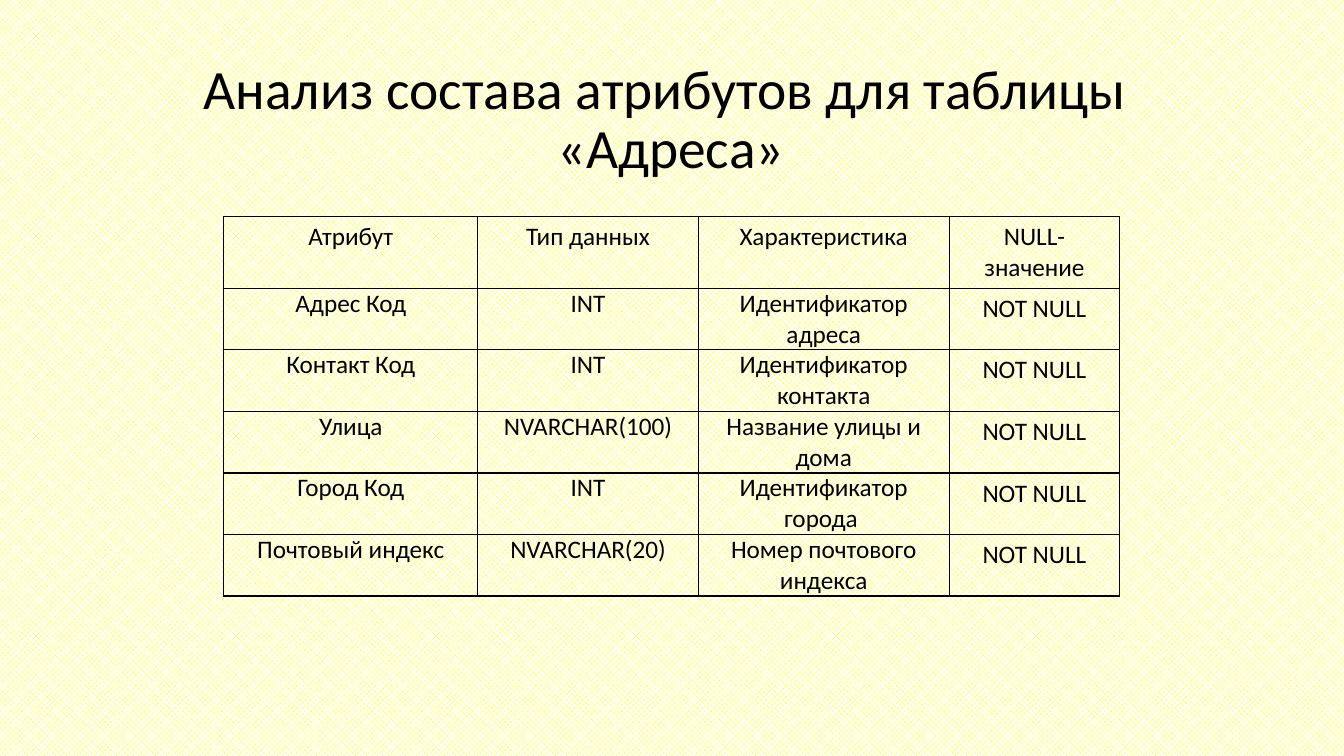
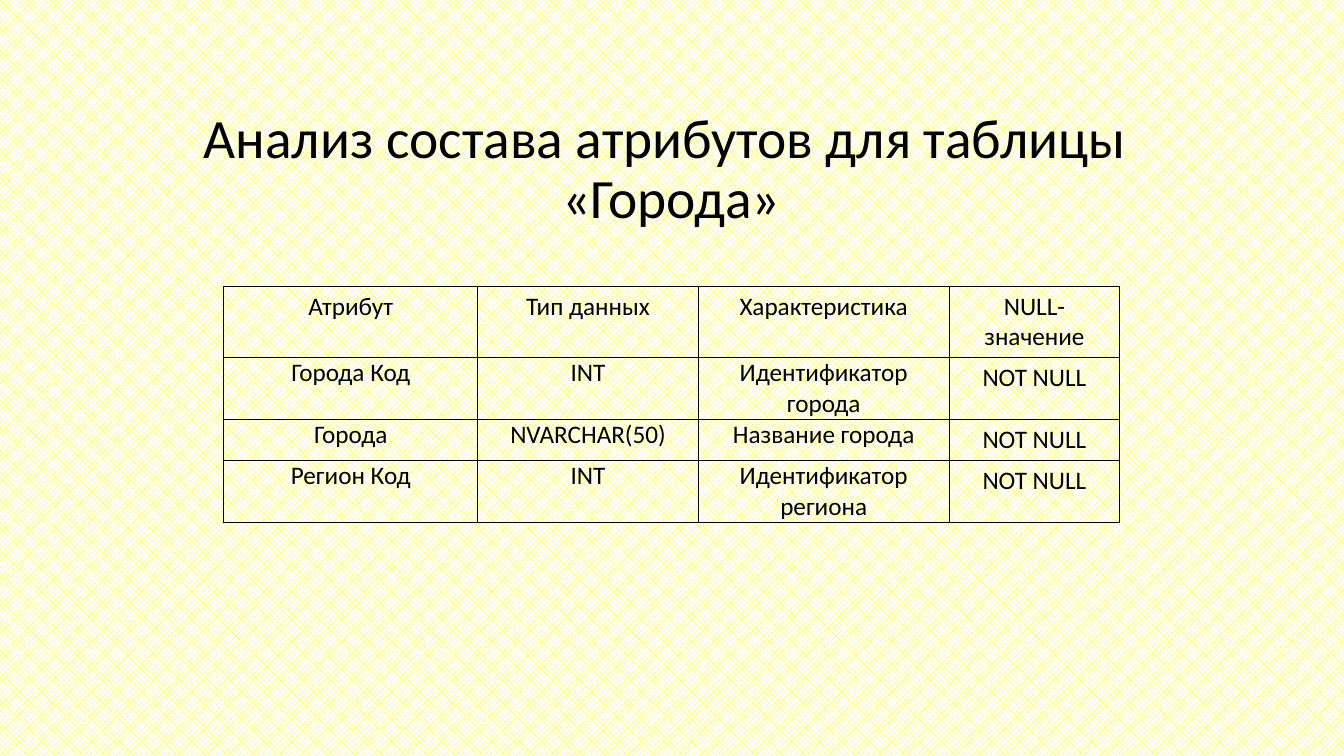
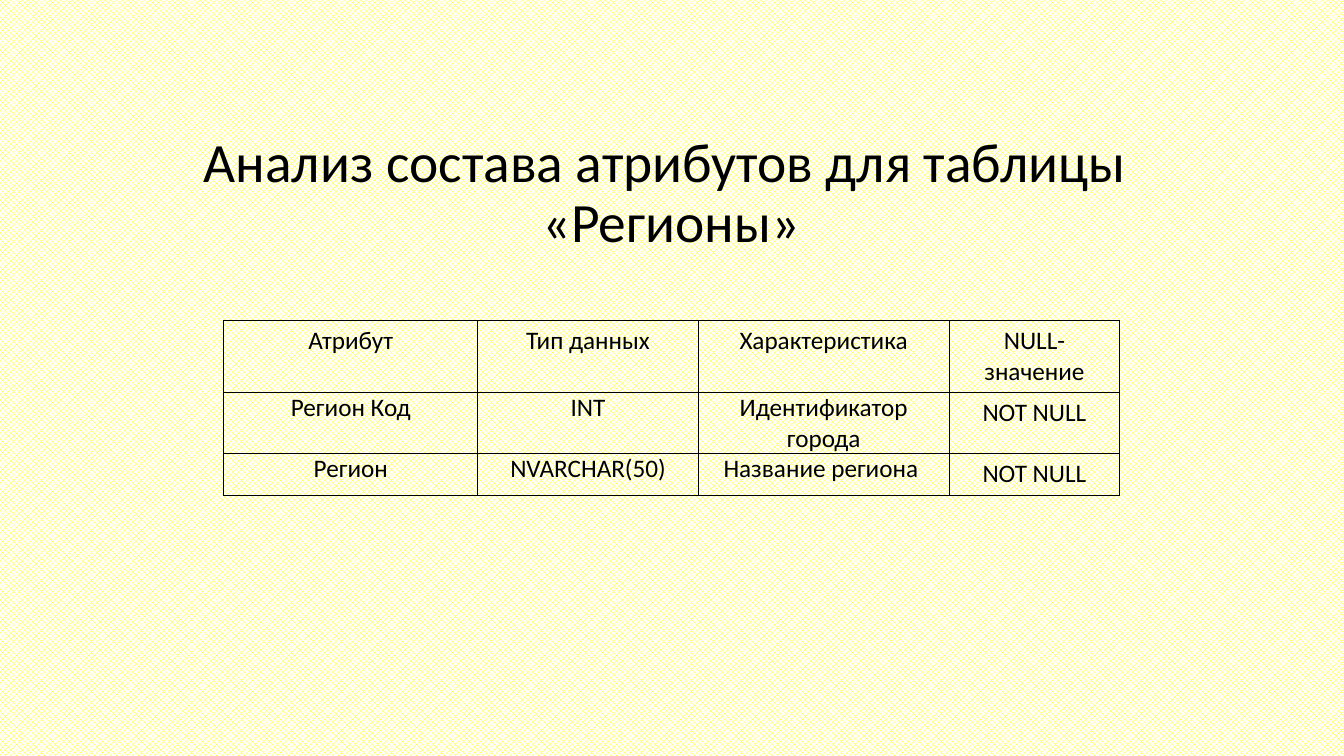
import lxml.etree
import pptx
import pptx.dml.color
import pptx.enum.dml
import pptx.enum.text
import pptx.oxml.ns
import pptx.util

Cm = pptx.util.Cm
Pt = pptx.util.Pt
RGBColor = pptx.dml.color.RGBColor

BLACK = RGBColor(0x00, 0x00, 0x00)
YELLOW = RGBColor(0xFF, 0xFF, 0x00)
WHITE = RGBColor(0xFF, 0xFF, 0xFF)
FONT = "Calibri"
TITLE_SIZE = Pt(39.6)
CELL_SIZE = Pt(18)
BORDER_WIDTH = Pt(1)
ROW_HEIGHT = Cm(1.04)
COLUMN_WIDTHS = [Cm(6.4), Cm(5.56), Cm(6.32), Cm(4.3)]
HEADERS = ["Атрибут", "Тип данных", "Характеристика", "NULL-значение"]

ENTITIES = [
    {
        "name": "Адреса",
        "title_top": Cm(1.7),
        "table_top": Cm(5.46),
        "table_height": Cm(9.4),
        "attributes": [
            ["Адрес Код", "INT", "Идентификатор адреса"],
            ["Контакт Код", "INT", "Идентификатор контакта"],
            ["Улица", "NVARCHAR(100)", "Название улицы и дома"],
            ["Город Код", "INT", "Идентификатор города "],
            ["Почтовый индекс", "NVARCHAR(20)", "Номер почтового индекса"],
        ],
    },
    {
        "name": "Города",
        "title_top": Cm(2.95),
        "table_top": Cm(7.21),
        "table_height": Cm(5.87),
        "attributes": [
            ["Города Код", "INT", "Идентификатор города"],
            ["Города", "NVARCHAR(50)", "Название города"],
            ["Регион Код", "INT", "Идентификатор региона"],
        ],
    },
    {
        "name": "Регионы",
        "title_top": Cm(3.56),
        "table_top": Cm(8.08),
        "table_height": Cm(4.34),
        "attributes": [
            ["Регион Код", "INT", "Идентификатор города"],
            ["Регион", "NVARCHAR(50)", "Название региона "],
        ],
    },
]


def format_paragraph(paragraph, size):
    paragraph.alignment = pptx.enum.text.PP_ALIGN.CENTER
    for run in paragraph.runs:
        run.font.name = FONT
        run.font.size = size
        run.font.bold = False
        run.font.color.rgb = BLACK


def set_background(master):
    fill = master.background.fill
    fill.patterned()
    fill.pattern = pptx.enum.dml.MSO_PATTERN.SOLID_DIAMOND
    fill.fore_color.rgb = YELLOW
    fill.back_color.rgb = WHITE


def place_title(slide, name, left, top, width, height):
    title = slide.shapes.title
    title.left, title.top, title.width, title.height = left, top, width, height
    frame = title.text_frame
    frame.auto_size = pptx.enum.text.MSO_AUTO_SIZE.NONE
    frame.vertical_anchor = pptx.enum.text.MSO_ANCHOR.MIDDLE
    paragraph = frame.paragraphs[0]
    paragraph.text = f"Анализ состава атрибутов для таблицы \v«{name}»"
    paragraph.line_spacing = 0.9
    format_paragraph(paragraph, TITLE_SIZE)


def add_borders(cell):
    properties = cell._tc.get_or_add_tcPr()
    qualified = pptx.oxml.ns.qn
    for side in ("L", "R", "T", "B"):
        line = lxml.etree.SubElement(properties, qualified(f"a:ln{side}"), w=str(BORDER_WIDTH))
        fill = lxml.etree.SubElement(line, qualified("a:solidFill"))
        lxml.etree.SubElement(fill, qualified("a:srgbClr"), val=str(BLACK))


def fill_cell(cell, text, compact):
    cell.text = text
    format_paragraph(cell.text_frame.paragraphs[0], CELL_SIZE)
    if compact:
        cell.margin_left = cell.margin_right = Cm(0.18)
        cell.margin_top = cell.margin_bottom = 0
    add_borders(cell)
    cell.fill.background()


def place_table(slide, attributes, left, top, width, height):
    rows = [HEADERS] + [attribute + ["NOT NULL"] for attribute in attributes]
    shape = slide.shapes.add_table(len(rows), len(HEADERS), left, top, width, height)
    table = shape.table
    table.first_row = False
    table.horz_banding = False
    for column, column_width in zip(table.columns, COLUMN_WIDTHS):
        column.width = column_width
    for row_index, texts in enumerate(rows):
        table.rows[row_index].height = ROW_HEIGHT
        for column_index, text in enumerate(texts):
            compact = row_index > 0 and column_index < len(HEADERS) - 1
            fill_cell(table.cell(row_index, column_index), text, compact)
    shape.height = height


def add_entity_slide(presentation, entity):
    slide = presentation.slides.add_slide(presentation.slide_layouts[5])
    place_title(slide, entity["name"], Cm(2.54), entity["title_top"], Cm(28.75), Cm(2.7))
    place_table(slide, entity["attributes"], Cm(5.64), entity["table_top"],
                sum(COLUMN_WIDTHS), entity["table_height"])


def main():
    presentation = pptx.Presentation()
    presentation.slide_width = Cm(33.87)
    presentation.slide_height = Cm(19.05)
    set_background(presentation.slide_master)
    for entity in ENTITIES:
        add_entity_slide(presentation, entity)
    presentation.save("out.pptx")


if __name__ == "__main__":
    main()
